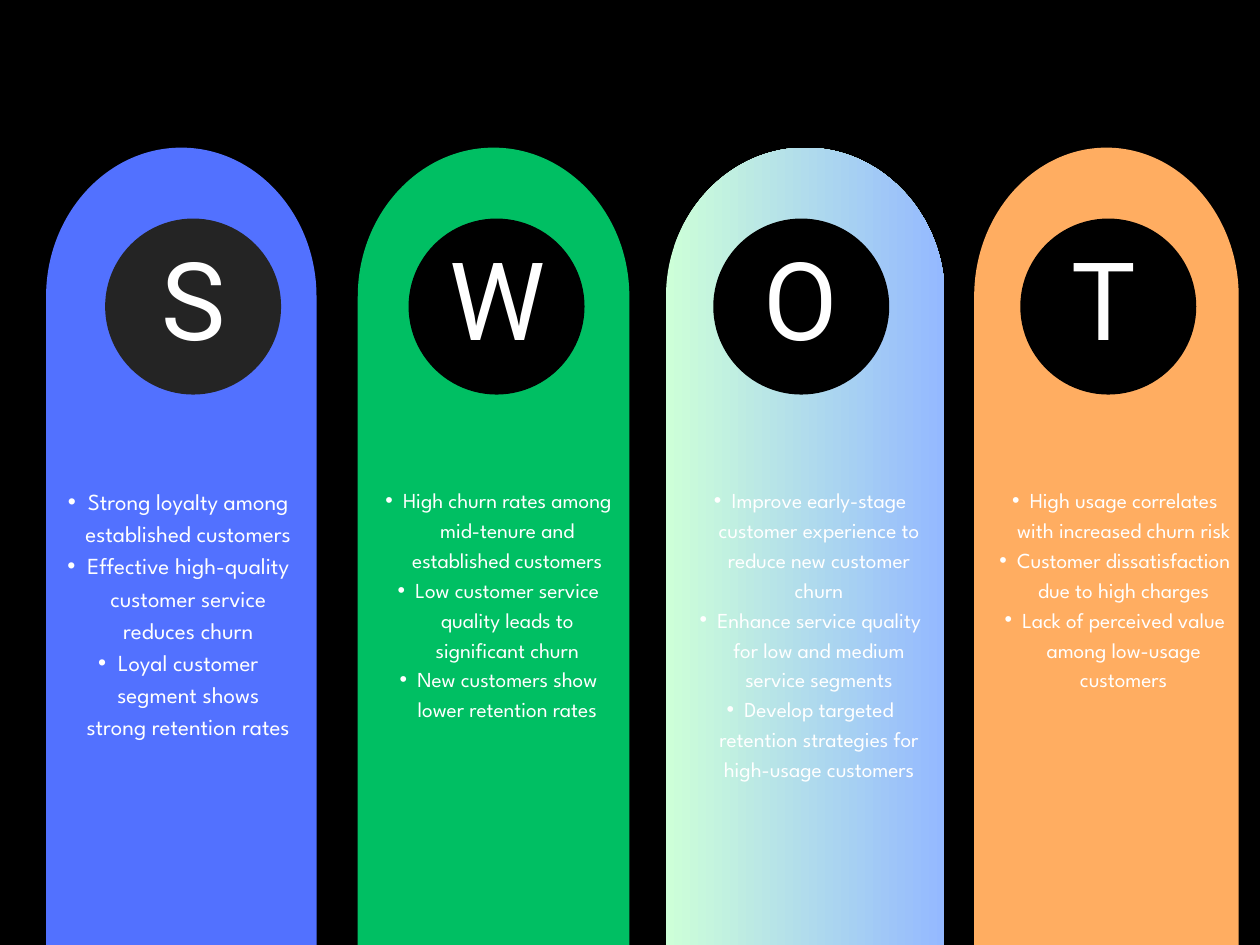
import lxml.etree
import pptx
import pptx.dml.color
import pptx.enum.shapes
import pptx.enum.text
import pptx.oxml.ns
import pptx.util

Inches = pptx.util.Inches
Pt = pptx.util.Pt
qn = pptx.oxml.ns.qn

COLORS = {
    "background": "000000",
    "text": "FFFFFF",
    "strengths": "5271FF",
    "weaknesses": "00BF63",
    "opportunities_start": "CDFFD8",
    "opportunities_end": "94B9FF",
    "threats": "FFAD61",
    "dark_badge": "242424",
    "black_badge": "000000",
}
CAPSULE_TOP, CAPSULE_RISE, CURVE_RATIO = 1.25, 1.26, 0.55
BADGE_TOP, BADGE_SIZE = 1.85, 1.49
LETTER_TOP, LETTER_HEIGHT, LETTER_WIDTH = 1.78, 1.37, 4.34
FIRST_LETTER_CENTER, LETTER_PITCH = 1.64, 2.57
LIST_TOP = 4.09

COLUMNS = [
    {
        "letter": "S", "fill": ["strengths"], "badge": "dark_badge",
        "capsule": (0.39, 2.29, 10.66), "badge_left": 0.89,
        "list": (0.39, 2.08, 3.23), "size": 14, "indent": (0.33, -0.17),
        "items": [
            "Strong loyalty among established customers",
            "Effective high-quality customer service reduces churn",
            "Loyal customer segment shows strong retention rates",
        ],
    },
    {
        "letter": "W", "fill": ["weaknesses"], "badge": "black_badge",
        "capsule": (3.03, 2.3, 10.06), "badge_left": 3.46,
        "list": (3.03, 2.22, 2.49), "size": 13, "indent": (0.31, -0.15),
        "items": [
            "High churn rates among mid-tenure and established customers",
            "Low customer service quality leads to significant churn",
            "New customers show lower retention rates",
        ],
    },
    {
        "letter": "O", "fill": ["opportunities_start", "opportunities_end"], "badge": "black_badge",
        "capsule": (5.64, 2.36, 10.1), "badge_left": 6.04,
        "list": (5.67, 2.22, 3.48), "size": 13, "indent": (0.31, -0.15),
        "items": [
            "Improve early-stage customer experience to reduce new customer churn",
            "Enhance service quality for low and medium service segments",
            "Develop targeted retention strategies for high-usage customers",
        ],
    },
    {
        "letter": "T", "fill": ["threats"], "badge": "black_badge",
        "capsule": (8.25, 2.24, 10.03), "badge_left": 8.64,
        "list": (8.25, 2.22, 2.49), "size": 13, "indent": (0.31, -0.15),
        "items": [
            "High usage correlates with increased churn risk",
            "Customer dissatisfaction due to high charges",
            "Lack of perceived value among low-usage customers",
        ],
    },
]


def rgb(name):
    """Return the named palette colour."""
    return pptx.dml.color.RGBColor.from_string(COLORS[name])


def paint(shape, names):
    """Fill a shape with one colour or a left-to-right gradient, without line or shadow."""
    if len(names) == 1:
        shape.fill.solid()
        shape.fill.fore_color.rgb = rgb(names[0])
    else:
        shape.fill.gradient()
        shape.fill.gradient_angle = 0
        for position, (stop, name) in enumerate(zip(shape.fill.gradient_stops, names)):
            stop.position = position
            stop.color.rgb = rgb(name)
    shape.line.fill.background()
    shape.shadow.inherit = False


def prepare_frame(text_frame):
    """Remove the margins and set wrapped text at the top of its box."""
    text_frame.margin_left = text_frame.margin_right = 0
    text_frame.margin_top = text_frame.margin_bottom = 0
    text_frame.word_wrap = True
    text_frame.vertical_anchor = pptx.enum.text.MSO_ANCHOR.TOP
    text_frame.auto_size = pptx.enum.text.MSO_AUTO_SIZE.SHAPE_TO_FIT_TEXT


def format_paragraph(paragraph, font_name, size, line_spacing):
    """Centre a paragraph and set its font and exact line spacing."""
    paragraph.alignment = pptx.enum.text.PP_ALIGN.CENTER
    paragraph.line_spacing = Pt(line_spacing)
    paragraph.space_before = paragraph.space_after = Pt(0)
    for run in paragraph.runs:
        run.font.name = font_name
        run.font.size = Pt(size)
        run.font.bold = False
        run.font.color.rgb = rgb("text")


def curve_segments(shape, starts):
    """Turn each three line segments from the given indexes into one Bézier curve."""
    segments = list(shape._element.iter(qn("a:lnTo")))
    for start in starts:
        curve = lxml.etree.Element(qn("a:cubicBezTo"))
        segments[start].addprevious(curve)
        for segment in segments[start:start + 3]:
            curve.append(segment[0])
            segment.getparent().remove(segment)


def add_capsule(slide, left, top, width, height, colors):
    """Draw an upright capsule with half-ellipse ends in the given box."""
    right, bottom, center = left + width, top + height, left + width / 2
    upper, lower = top + CAPSULE_RISE, bottom - CAPSULE_RISE
    reach_x, reach_y = CURVE_RATIO * width / 2, CURVE_RATIO * CAPSULE_RISE
    points = [
        (left, upper - reach_y), (center - reach_x, top), (center, top),
        (center + reach_x, top), (right, upper - reach_y), (right, upper),
        (right, lower),
        (right, lower + reach_y), (center + reach_x, bottom), (center, bottom),
        (center - reach_x, bottom), (left, lower + reach_y), (left, lower),
    ]
    builder = slide.shapes.build_freeform(Inches(left), Inches(upper), scale=1.0)
    builder.add_line_segments([(Inches(x), Inches(y)) for x, y in points], close=True)
    capsule = builder.convert_to_shape()
    curve_segments(capsule, (0, 3, 7, 10))
    paint(capsule, colors)


def add_badge(slide, left, top, size, color):
    """Draw the round badge behind a letter."""
    badge = slide.shapes.add_shape(
        pptx.enum.shapes.MSO_SHAPE.OVAL, Inches(left), Inches(top), Inches(size), Inches(size))
    paint(badge, [color])


def add_letter(slide, left, top, width, height, letter):
    """Write one large centred letter in the given box."""
    box = slide.shapes.add_textbox(Inches(left), Inches(top), Inches(width), Inches(height))
    prepare_frame(box.text_frame)
    box.text_frame.text = letter
    format_paragraph(box.text_frame.paragraphs[0], "Roboto", 66, 92.5)


def fill_list(slide, placeholder, left, top, width, height, column):
    """Move a body placeholder to the front of the given box and fill its bullet list."""
    slide.shapes._spTree.append(placeholder._element)
    placeholder.left, placeholder.top = Inches(left), Inches(top)
    placeholder.width, placeholder.height = Inches(width), Inches(height)
    text_frame = placeholder.text_frame
    prepare_frame(text_frame)
    text_frame.text = "\n".join(column["items"])
    margin, indent = column["indent"]
    for paragraph in text_frame.paragraphs:
        paragraph.level = 1
        format_paragraph(paragraph, "League Spartan", column["size"], column["size"] * 1.4)
        properties = paragraph._p.get_or_add_pPr()
        properties.set("marL", str(Inches(margin)))
        properties.set("indent", str(Inches(indent)))
        for tag, attribute, value in (("a:buFont", "typeface", "Arial"), ("a:buChar", "char", "•")):
            bullet = lxml.etree.SubElement(properties, qn(tag))
            bullet.set(attribute, value)


def build_slide(presentation):
    """Add the four-column SWOT slide."""
    slide = presentation.slides.add_slide(presentation.slide_layouts.get_by_name("Comparison"))
    slide.background.fill.solid()
    slide.background.fill.fore_color.rgb = rgb("background")
    title = slide.shapes.title
    title._element.getparent().remove(title._element)
    placeholders = list(slide.placeholders)
    for index, (column, placeholder) in enumerate(zip(COLUMNS, placeholders)):
        left, width, height = column["capsule"]
        add_capsule(slide, left, CAPSULE_TOP, width, height, column["fill"])
        add_badge(slide, column["badge_left"], BADGE_TOP, BADGE_SIZE, column["badge"])
        letter_left = FIRST_LETTER_CENTER + index * LETTER_PITCH - LETTER_WIDTH / 2
        add_letter(slide, letter_left, LETTER_TOP, LETTER_WIDTH, LETTER_HEIGHT, column["letter"])
        list_left, list_width, list_height = column["list"]
        fill_list(slide, placeholder, list_left, LIST_TOP, list_width, list_height, column)


def main():
    """Build and save the presentation."""
    presentation = pptx.Presentation()
    presentation.slide_width = Inches(10.67)
    presentation.slide_height = Inches(8)
    build_slide(presentation)
    presentation.save("out.pptx")


if __name__ == "__main__":
    main()
